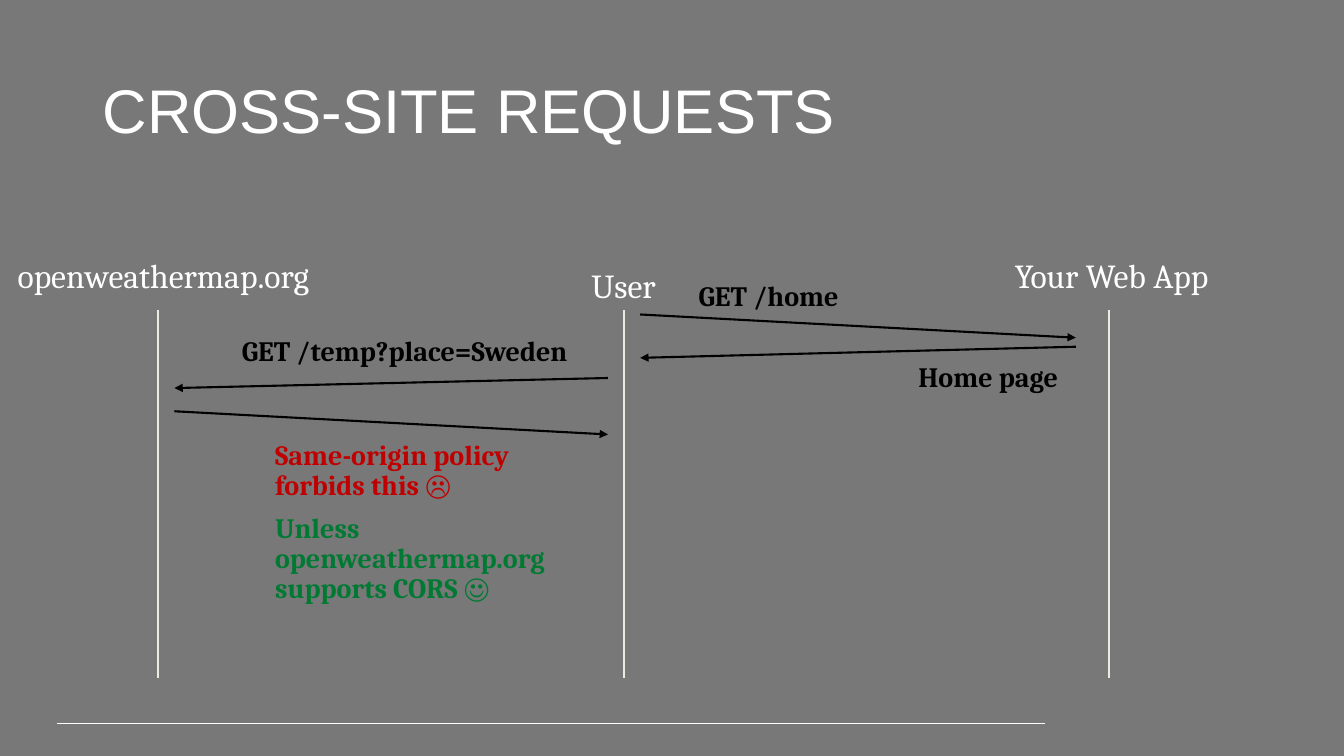
from lxml.etree import SubElement
from pptx import Presentation
from pptx.dml.color import RGBColor
from pptx.enum.shapes import MSO_CONNECTOR as Connector
from pptx.enum.text import MSO_ANCHOR as Anchor, MSO_AUTO_SIZE as AutoSize, PP_ALIGN as Align
from pptx.oxml.ns import qn
from pptx.util import Inches, Pt

WIDTH, HEIGHT = 13.33, 7.5
GREY, WHITE, IVORY, BLACK, RED, GREEN = "787878", "FFFFFF", "EBEBDF", "000000", "C00000", "007A33"
LIFE_TOP, LIFE_BOTTOM = 3.08, 6.73
LABEL_HEIGHT, LINE_HEIGHT, NOTE_PADDING = 0.46, 0.305, 0.1

TITLE = "CROSS-SITE REQUESTS"
ACTORS = {
    "openweathermap.org": dict(axis=1.57, label=(-0.09, 2.53, 3.42)),
    "User": dict(axis=6.19, label=(5.31, 2.62, 1.75)),
    "Your Web App": dict(axis=11, label=(9.8, 2.53, 2.45)),
}
GAPS = {"openweathermap.org": 0.16, "User": 0.16, "Your Web App": 0.33}
MESSAGES = [
    ("User", "Your Web App", 3.12, 3.35),
    ("Your Web App", "User", 3.44, 3.55),
    ("User", "openweathermap.org", 3.75, 3.85),
    ("openweathermap.org", "User", 4.08, 4.31),
]
NOTES = [
    ("GET /home", 6.83, 2.75, 2.51, 1, BLACK),
    ("Home page", 9.01, 3.55, 1.9, 1, BLACK),
    ("GET /temp?place=Sweden", 2.3, 3.3, 3.96, 1, BLACK),
    ("Same-origin policy forbids this ☹", 2.63, 4.33, 2.94, 2, RED),
    ("Unless openweathermap.org supports CORS ☺", 2.63, 5.05, 3.38, 3, GREEN),
]


def color(hex_code):
    return RGBColor.from_string(hex_code)


def place(box, left, top, width, height):
    box.left, box.top, box.width, box.height = map(Inches, (left, top, width, height))


def write(box, text, size, hex_code, font="Cambria", bold=False, align=Align.LEFT, anchor=Anchor.TOP):
    frame = box.text_frame
    frame.text = text
    frame.word_wrap = True
    frame.auto_size = AutoSize.NONE
    frame.vertical_anchor = anchor
    paragraph = frame.paragraphs[0]
    paragraph.alignment = align
    paragraph.line_spacing = 0.9
    paragraph.space_before = Pt(0)
    run_font = paragraph.runs[0].font
    run_font.name, run_font.size, run_font.bold = font, Pt(size), bold
    run_font.color.rgb = color(hex_code)
    return paragraph


def draw_line(start, end, hex_code, weight=1.5, arrow=False):
    ends = map(Inches, (*start, *end))
    connector = slide.shapes.add_connector(Connector.STRAIGHT, *ends)
    connector.line.color.rgb = color(hex_code)
    connector.line.width = Pt(weight)
    if arrow:
        SubElement(connector.line._get_or_add_ln(), qn("a:tailEnd"), type="triangle")
    SubElement(connector._element.spPr, qn("a:effectLst"))


def message_end(actor, other):
    axis = ACTORS[actor]["axis"]
    side = 1 if ACTORS[other]["axis"] > axis else -1
    return axis + side * GAPS[actor]


deck = Presentation()
deck.slide_width, deck.slide_height = Inches(WIDTH), Inches(HEIGHT)
slide = deck.slides.add_slide(deck.slide_layouts[1])
slide.background.fill.solid()
slide.background.fill.fore_color.rgb = color(GREY)

draw_line((0.57, 7.18), (10.36, 7.18), WHITE, 0.75)
heading = slide.shapes.title
place(heading, 0.92, 0.4, 11.5, 1.45)
write(heading, TITLE, 44, WHITE, "Arial", anchor=Anchor.MIDDLE)

for actor, spot in ACTORS.items():
    if actor == "User":
        label = slide.placeholders[1]
    else:
        label = slide.shapes.add_textbox(0, 0, 0, 0)
    place(label, *spot["label"], LABEL_HEIGHT)
    properties = write(label, actor, 24, WHITE, align=Align.CENTER)._p.get_or_add_pPr()
    properties.set("marL", "0")
    properties.set("indent", "0")
    SubElement(properties, qn("a:buNone"))
    draw_line((spot["axis"], LIFE_TOP), (spot["axis"], LIFE_BOTTOM), IVORY)

for sender, receiver, sent, received in MESSAGES:
    start = message_end(sender, receiver), sent
    end = message_end(receiver, sender), received
    draw_line(start, end, BLACK, arrow=True)

for text, left, top, width, lines, hex_code in NOTES:
    note = slide.shapes.add_textbox(0, 0, 0, 0)
    place(note, left, top, width, NOTE_PADDING + lines * LINE_HEIGHT)
    write(note, text, 20, hex_code, bold=True)

deck.save("out.pptx")
